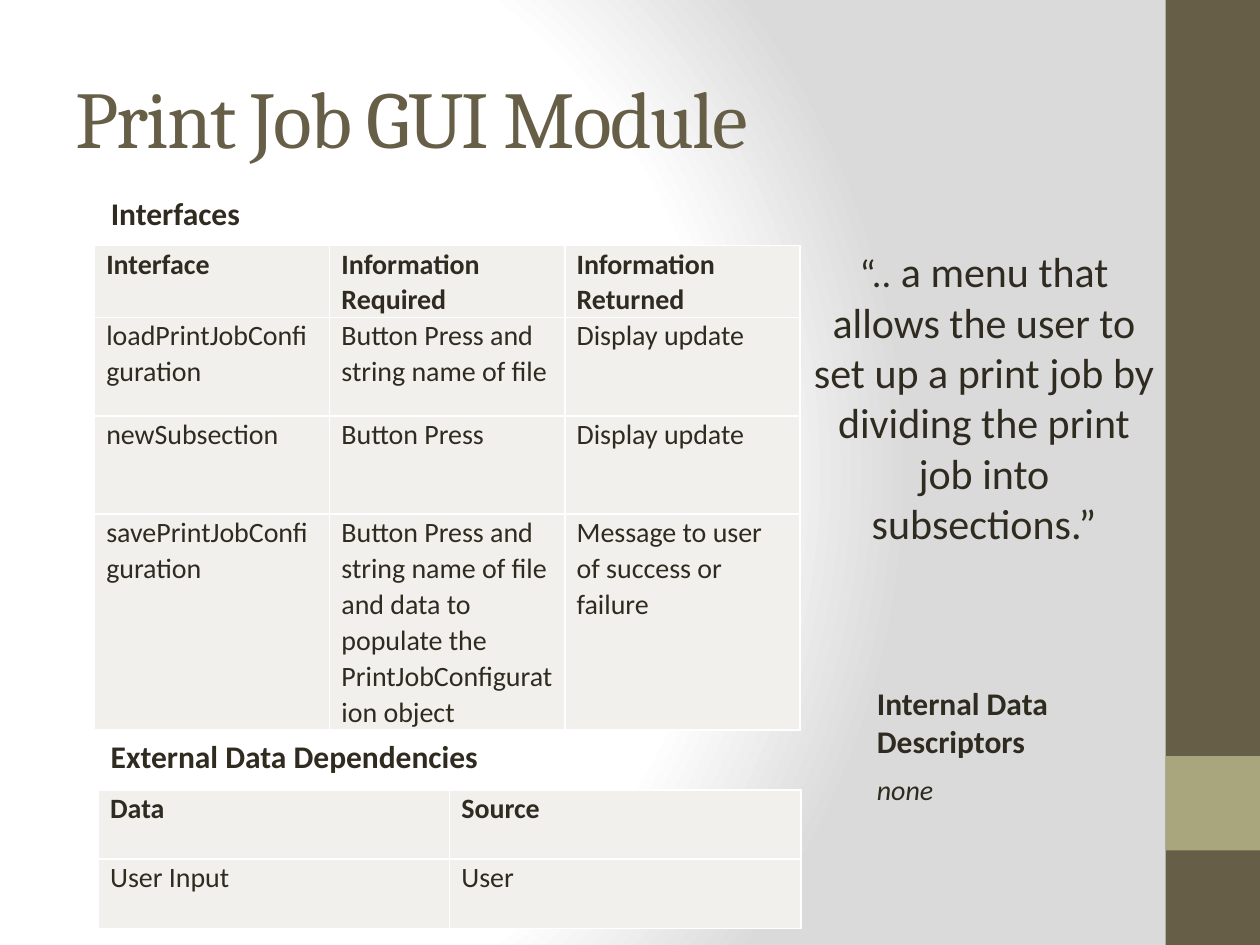
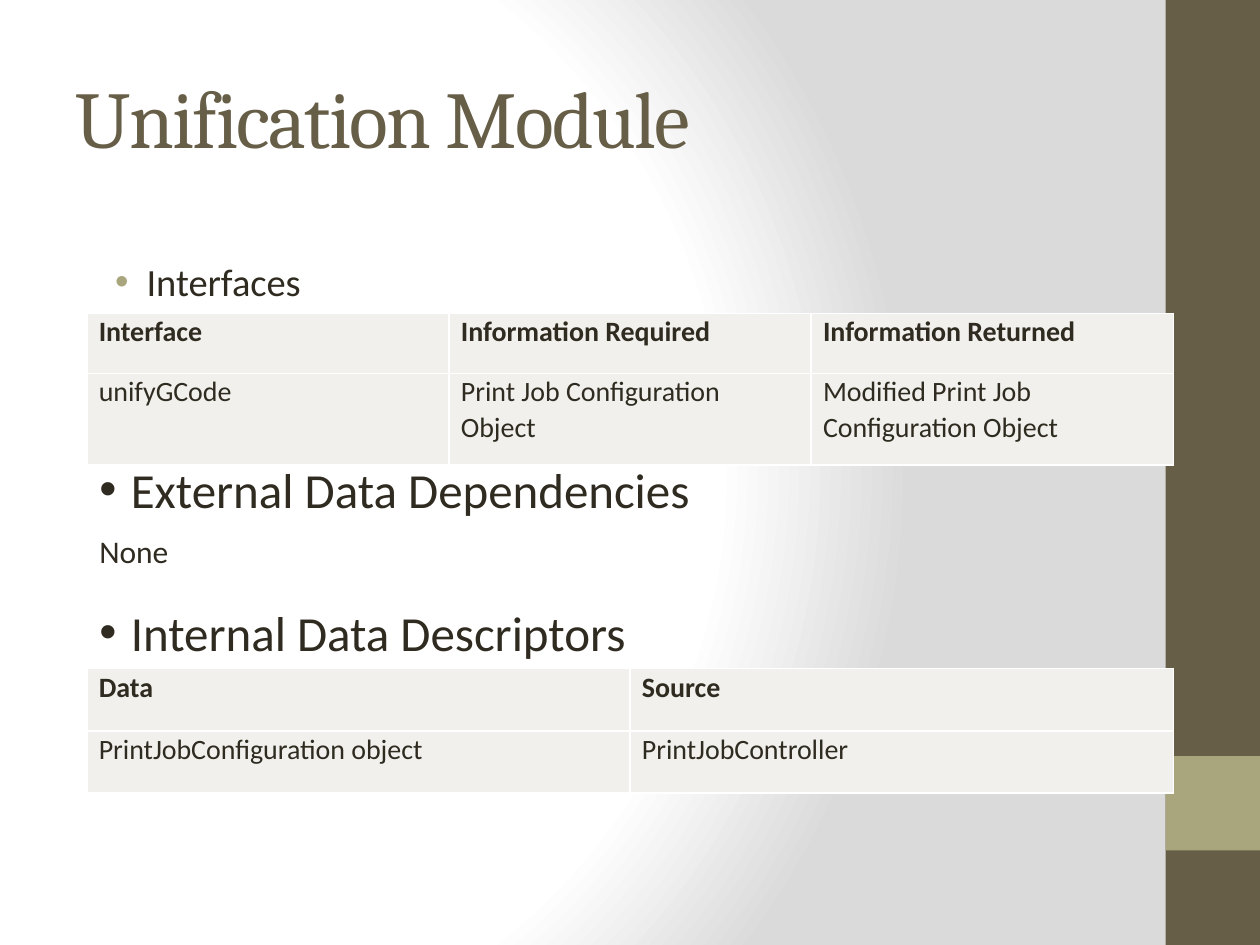
from dataclasses import dataclass

from lxml.etree import fromstring
from pptx import Presentation
from pptx.dml.color import RGBColor
from pptx.enum.shapes import MSO_SHAPE
from pptx.enum.text import MSO_ANCHOR, MSO_AUTO_SIZE, PP_ALIGN
from pptx.oxml.ns import qn
from pptx.presentation import Presentation as Deck
from pptx.slide import Slide
from pptx.util import Pt

INK = {
    "text": "2F2B20",
    "brown": "675E47",
    "sage": "A9A57C",
    "cell": "F1F0EC",
    "white": "FFFFFF",
    "grey": "DADADA",
}
HEAD, BODY = "Cambria", "Calibri"
SPACES = (
    'xmlns:a="http://schemas.openxmlformats.org/drawingml/2006/main" '
    'xmlns:p="http://schemas.openxmlformats.org/presentationml/2006/main"'
)


@dataclass(frozen=True)
class Band:
    top: float
    high: float
    color: str


@dataclass(frozen=True)
class Grid:
    left: float
    top: float
    width: float
    highs: tuple[float, ...]
    rows: tuple[tuple[str, ...], ...]


@dataclass(frozen=True)
class Note:
    left: float
    top: float
    width: float
    high: float
    runs: tuple[tuple[str, float], ...]
    bold: bool = False
    slant: bool = False
    align: PP_ALIGN = PP_ALIGN.LEFT


@dataclass(frozen=True)
class Point:
    top: float
    text: str
    size: float
    margin: float = 18
    spacing: float = 0.8
    dot: str = "text"


@dataclass(frozen=True)
class Page:
    title: str
    blocks: tuple[Grid | Note | Point, ...]


BANDS = (Band(0, 540, "brown"), Band(432, 54, "sage"))
CALLS = ("Interface", "Information Required", "Information Returned")
SOURCES = ("Data", "Source")
EDGE, SPAN = 49.7, 620.8

PAGES = (
    Page("Print Job GUI Module", (
        Grid(54, 140.4, 403.2, (36.7, 56.2, 56.2, 56.2), (
            CALLS,
            ("loadPrintJobConfiguration", "Button Press and string name of file",
             "Display update"),
            ("newSubsection", "Button Press", "Display update"),
            ("savePrintJobConfiguration",
             "Button Press and string name of file and data to populate the "
             "PrintJobConfiguration object",
             "Message to user of success or failure"),
        )),
        Grid(56.2, 451.4, 401.4, (39.6, 39.6), (SOURCES, ("User Input", "User"))),
        Note(56.2, 107.3, 178, 29, (("Interfaces", 18),), bold=True),
        Note(56.2, 417.6, 230, 29, (("External Data Dependencies", 18),), bold=True),
        Note(494, 387.4, 168, 51, (("Internal Data Descriptors", 18),), bold=True),
        Note(494, 437.8, 137.5, 26.6, (("none", 16),), slant=True),
        Note(455.8, 136.8, 213, 181.4, (
            ("“..", 22),
            (" a menu that allows the user to set up a print job by dividing "
             "the print job into subsections.”", 24),
        ), align=PP_ALIGN.CENTER),
    )),
    Page("Unification Module", (
        Point(144, "Interfaces", 22, margin=27, spacing=1, dot="sage"),
        Point(347, "Internal Data Descriptors", 28),
        Point(265.7, "External Data Dependencies", 28),
        Grid(EDGE, 179.1, SPAN, (34.3, 52.3), (
            CALLS,
            ("unifyGCode", "Print Job Configuration Object",
             "Modified Print Job Configuration Object"),
        )),
        Note(EDGE, 300.4, 119, 29, (("None", 18),)),
        Grid(EDGE, 382.1, SPAN, (35.6, 35.6), (
            SOURCES, ("PrintJobConfiguration object", "PrintJobController"),
        )),
    )),
)


def shade(name: str) -> RGBColor:
    return RGBColor.from_string(INK[name])


def add_run(para, text: str, size: float, bold: bool = False, slant: bool = False,
            face: str = BODY, color: str = "text"):
    run = para.add_run()
    run.text = text
    font = run.font
    font.name, font.size, font.bold, font.italic = face, Pt(size), bold, slant
    font.color.rgb = shade(color)
    return run


def set_back(deck: Deck) -> None:
    """Give the master a round fade from white to grey."""
    stops = "".join(
        f'<a:gs pos="{pos}"><a:srgbClr val="{INK[name]}"/></a:gs>'
        for pos, name in ((0, "white"), (75000, "white"), (100000, "grey"))
    )
    back = fromstring(
        f'<p:bg {SPACES}><p:bgPr><a:gradFill rotWithShape="1"><a:gsLst>{stops}</a:gsLst>'
        '<a:path path="circle"><a:fillToRect l="20000" t="50000" r="100000" b="50000"/>'
        '</a:path></a:gradFill><a:effectLst/></p:bgPr></p:bg>'
    )
    base = deck.slide_master.element.find(qn("p:cSld"))
    for old in base.findall(qn("p:bg")):
        base.remove(old)
    base.insert(0, back)


def add_band(slide: Slide, band: Band) -> None:
    shape = slide.shapes.add_shape(
        MSO_SHAPE.RECTANGLE, Pt(666), Pt(band.top), Pt(54), Pt(band.high))
    shape.shadow.inherit = False
    shape.fill.solid()
    shape.fill.fore_color.rgb = shade(band.color)
    shape.line.fill.background()


def set_title(slide: Slide, text: str) -> None:
    title = slide.shapes.title
    title.left, title.top, title.width, title.height = Pt(36), Pt(21.6), Pt(600), Pt(90)
    frame = title.text_frame
    frame.vertical_anchor = MSO_ANCHOR.MIDDLE
    para = frame.paragraphs[0]
    para.alignment = PP_ALIGN.LEFT
    run = add_run(para, text, 46, face=HEAD, color="brown")
    run._r.get_or_add_rPr().set("spc", "-100")


def add_box(slide: Slide, left: float, top: float, width: float, high: float):
    frame = slide.shapes.add_textbox(Pt(left), Pt(top), Pt(width), Pt(high)).text_frame
    frame.word_wrap = True
    return frame


def add_note(slide: Slide, note: Note) -> None:
    frame = add_box(slide, note.left, note.top, note.width, note.high)
    frame.auto_size = MSO_AUTO_SIZE.SHAPE_TO_FIT_TEXT
    para = frame.paragraphs[0]
    para.alignment = note.align
    for text, size in note.runs:
        add_run(para, text, size, note.bold, note.slant)


def add_point(slide: Slide, point: Point) -> None:
    para = add_box(slide, EDGE, point.top, SPAN, 35.3).paragraphs[0]
    props = para._p.get_or_add_pPr()
    props.set("marL", str(Pt(point.margin)))
    props.set("indent", str(Pt(-18)))
    for tag in (f'<a:buClr {SPACES}><a:srgbClr val="{INK[point.dot]}"/></a:buClr>',
                f'<a:buFont {SPACES} typeface="Arial"/>',
                f'<a:buChar {SPACES} char="•"/>'):
        props.append(fromstring(tag))
    para.line_spacing = point.spacing
    add_run(para, point.text, point.size)


def fill_cell(cell, text: str, head: bool) -> None:
    cell.margin_left = cell.margin_right = Pt(6.75)
    cell.margin_top = cell.margin_bottom = 0
    cell.fill.solid()
    cell.fill.fore_color.rgb = shade("cell")
    props = cell._tc.get_or_add_tcPr()
    for spot, side in enumerate("LRTB"):
        props.insert(spot, fromstring(
            f'<a:ln{side} {SPACES} w="{Pt(1)}"><a:solidFill>'
            f'<a:srgbClr val="{INK["white"]}"/></a:solidFill></a:ln{side}>'))
    para = cell.text_frame.paragraphs[0]
    para.alignment = PP_ALIGN.JUSTIFY if head else PP_ALIGN.LEFT
    para.line_spacing = 1.05
    para.space_after = Pt(8)
    add_run(para, text, 16, bold=head)


def add_grid(slide: Slide, grid: Grid) -> None:
    table = slide.shapes.add_table(
        len(grid.rows), len(grid.rows[0]), Pt(grid.left), Pt(grid.top),
        Pt(grid.width), Pt(sum(grid.highs))).table
    for row, high in enumerate(grid.highs):
        table.rows[row].height = Pt(high)
        for col, text in enumerate(grid.rows[row]):
            fill_cell(table.cell(row, col), text, row == 0)


DRAW = {Grid: add_grid, Note: add_note, Point: add_point}


def add_page(deck: Deck, page: Page) -> None:
    slide = deck.slides.add_slide(deck.slide_layouts.get_by_name("Title Only"))
    for band in BANDS:
        add_band(slide, band)
    set_title(slide, page.title)
    for block in page.blocks:
        DRAW[type(block)](slide, block)


def main() -> None:
    deck = Presentation()
    deck.slide_width, deck.slide_height = Pt(720), Pt(540)
    set_back(deck)
    for page in PAGES:
        add_page(deck, page)
    deck.save("out.pptx")


if __name__ == "__main__":
    main()
